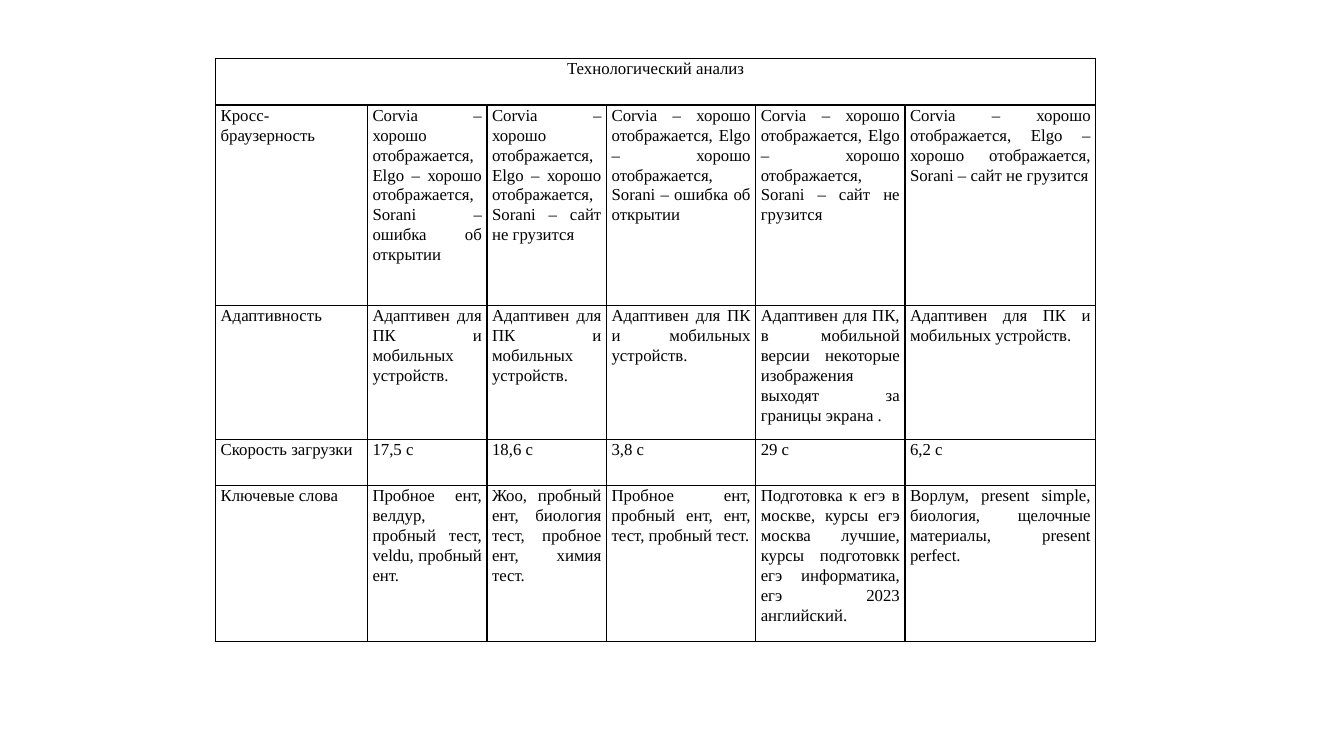
from dataclasses import dataclass

from lxml.etree import SubElement
from pptx import Presentation
from pptx.dml.color import RGBColor
from pptx.enum.text import PP_ALIGN
from pptx.oxml.ns import qn
from pptx.util import Pt


@dataclass(frozen=True)
class Theme:
    font: str = "Times New Roman"
    text_size: float = 12
    text_color: str = "000000"
    border_color: str = "000000"
    border_width: float = 1
    line_spacing: float = 1.07
    side_margin: float = 3.6


theme = Theme()


def add_borders(cell):
    properties = cell._tc.get_or_add_tcPr()
    for side in ("lnL", "lnR", "lnT", "lnB"):
        line = SubElement(properties, qn(f"a:{side}"), w=str(Pt(theme.border_width)))
        fill = SubElement(line, qn("a:solidFill"))
        SubElement(fill, qn("a:srgbClr"), val=theme.border_color)


def write_cell(cell, text, alignment):
    cell.margin_left = cell.margin_right = Pt(theme.side_margin)
    cell.margin_top = cell.margin_bottom = 0
    paragraph = cell.text_frame.paragraphs[0]
    paragraph.alignment = alignment
    paragraph.line_spacing = theme.line_spacing
    run = paragraph.add_run()
    run.text = text
    run.font.name = theme.font
    run.font.size = Pt(theme.text_size)
    run.font.bold = False
    run.font.color.rgb = RGBColor.from_string(theme.text_color)


title = "Технологический анализ"
browsers = "Corvia – хорошо отображается, Elgo – хорошо отображается, Sorani – "
open_error = browsers + "ошибка об открытии"
not_loading = browsers + "сайт не грузится"
adaptive = "Адаптивен для ПК и мобильных устройств."
partly_adaptive = (
    "Адаптивен для ПК, в мобильной версии некоторые изображения "
    "выходят за границы экрана ."
)
criteria = [
    ["Кросс-браузерность", open_error, not_loading, open_error, not_loading, not_loading],
    ["Адаптивность", adaptive, adaptive, adaptive, partly_adaptive, adaptive],
    ["Скорость загрузки", "17,5 с", "18,6 с", "3,8 с", "29 с", "6,2 с"],
    [
        "Ключевые слова",
        "Пробное ент, велдур, пробный тест, veldu, пробный ент.",
        "Жоо, пробный ент, биология тест, пробное ент, химия тест.",
        "Пробное ент, пробный ент, ент, тест, пробный тест.",
        "Подготовка к егэ в москве, курсы егэ москва лучшие, "
        "курсы подготовкк егэ информатика, егэ 2023 английский.",
        "Ворлум, present simple, биология, щелочные материалы, present perfect.",
    ],
]
column_widths = [108.5, 85.4, 85.4, 106.6, 106.6, 136.4]
row_heights = [33.2, 143.2, 95.7, 32.9, 111.4]

presentation = Presentation()
presentation.slide_width = Pt(960)
presentation.slide_height = Pt(540)
slide = presentation.slides.add_slide(presentation.slide_layouts[6])

table = slide.shapes.add_table(
    len(row_heights), len(column_widths),
    Pt(154), Pt(41.8), Pt(sum(column_widths)), Pt(sum(row_heights)),
).table
table.first_row = False
table.horz_banding = False
for column, width in zip(table.columns, column_widths):
    column.width = Pt(width)
for row, height in zip(table.rows, row_heights):
    row.height = Pt(height)

for cell in table.iter_cells():
    add_borders(cell)
    cell.fill.background()

title_cell = table.cell(0, 0)
title_cell.merge(table.cell(0, len(column_widths) - 1))
write_cell(title_cell, title, PP_ALIGN.CENTER)
for row_index, texts in enumerate(criteria, start=1):
    for column_index, text in enumerate(texts):
        write_cell(table.cell(row_index, column_index), text, PP_ALIGN.JUSTIFY)

presentation.save("out.pptx")
